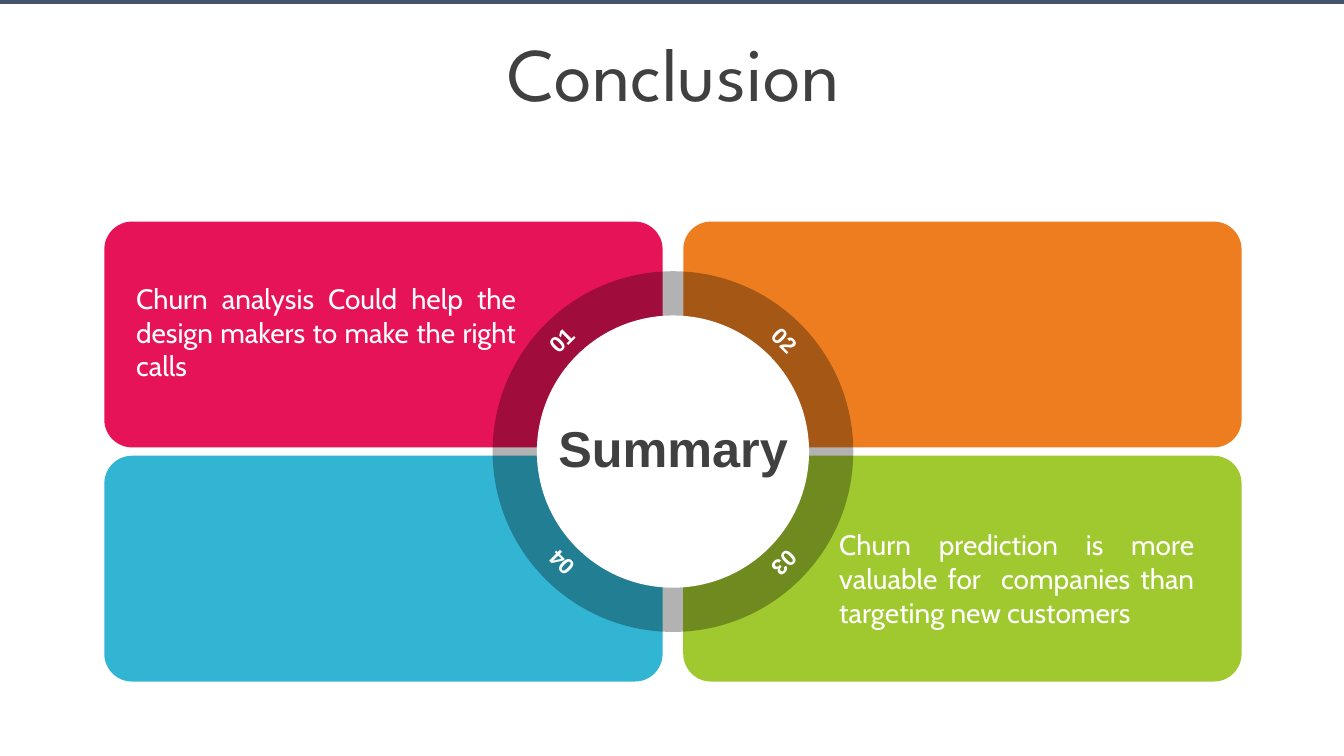
from lxml.etree import SubElement
from pptx import Presentation
from pptx.dml.color import RGBColor
from pptx.enum.shapes import MSO_SHAPE
from pptx.enum.text import MSO_ANCHOR, MSO_AUTO_SIZE, PP_ALIGN
from pptx.oxml.ns import qn
from pptx.util import Cm, Pt

THEME = {
    "dark": "404040", "white": "FFFFFF", "black": "000000", "bar": "44546A",
    "pink": "E61358", "orange": "ED7D1F", "green": "A0C82F", "blue": "32B5D3",
    "title": {"name": "League Spartan", "size": Pt(54), "bold": False},
    "hub": {"name": "Arial", "size": Pt(36), "bold": True},
    "number": {"name": "Arial", "size": Pt(16), "bold": True},
    "body": {"name": "Cabin", "size": Pt(20), "bold": False},
}

deck = Presentation()
deck.slide_width, deck.slide_height = Cm(33.87), Cm(19.05)
slide = deck.slides.add_slide(deck.slide_layouts[5])
shapes = slide.shapes


def draw(kind, box, color):
    """Add a plain filled shape; box is left, top, width, height in cm."""
    shape = shapes.add_shape(kind, *map(Cm, box))
    shape.shadow.inherit = False
    shape.fill.solid()
    shape.fill.fore_color.rgb = RGBColor.from_string(THEME[color])
    shape.line.fill.background()
    return shape


def write(text, box, style, color, align=PP_ALIGN.CENTER,
          anchor=MSO_ANCHOR.TOP, holder=None):
    """Put one paragraph in the holder, or in a new text box."""
    holder = holder or shapes.add_textbox(0, 0, 0, 0)
    holder.left, holder.top, holder.width, holder.height = map(Cm, box)
    frame = holder.text_frame
    frame.text = text
    frame.word_wrap = True
    frame.auto_size = MSO_AUTO_SIZE.NONE
    frame.vertical_anchor = anchor
    para = frame.paragraphs[0]
    para.alignment = align
    font = para.runs[0].font
    for key, value in THEME[style].items():
        setattr(font, key, value)
    font.color.rgb = RGBColor.from_string(THEME[color])
    return holder


# Title
title = write("Conclusion", (0.89, 0.94, 32.16, 2.01), "title", "dark",
              anchor=MSO_ANCHOR.MIDDLE, holder=shapes.title)
for key, value in {"line_spacing": 0.9, "space_before": Pt(10)}.items():
    setattr(title.text_frame.paragraphs[0], key, value)

# Four cards around one centre: number, colour, side across, side down, turn
mid_x, mid_y = 16.96, 11.38
card_w, card_h = 14.07, 5.69
gap_x, gap_y = 0.52, 0.21
cards = [
    ("01", "pink", -1, -1, 315),
    ("02", "orange", 1, -1, 45),
    ("03", "green", 1, 1, 135),
    ("04", "blue", -1, 1, 225),
]
for number, color, across, down, turn in cards:
    left = mid_x + across * (card_w + gap_x) / 2 - card_w / 2
    top = mid_y + down * (card_h + gap_y) / 2 - card_h / 2
    card = draw(MSO_SHAPE.ROUNDED_RECTANGLE, (left, top, card_w, card_h), color)
    card.adjustments[0] = 0.123

# Ring and hub
for size, color in ((9.09, "black"), (6.86, "white")):
    disc = draw(MSO_SHAPE.OVAL,
                (mid_x - size / 2, mid_y - size / 2, size, size), color)
    if color == "black":
        tint = disc.fill._xPr.find(".//" + qn("a:srgbClr"))
        SubElement(tint, qn("a:alpha"), val="30000")

# Numbers in the band of the ring, each at the top of a box turned
# about the centre
side = 8.9
for number, color, across, down, turn in cards:
    label = write(number, (mid_x - side / 2, mid_y - side / 2, side, side),
                  "number", "white")
    label.rotation = turn

write("Summary", (13.51, 10.39, 6.91, 1.8), "hub", "dark")

# Card texts
for text, box in (
    ("Churn analysis Could help the design makers to make the right calls",
     (3.18, 6.96, 10.08, 2.82)),
    ("Churn prediction is more valuable for  companies than targeting new "
     "customers", (20.9, 13.16, 9.45, 2.82)),
):
    write(text, box, "body", "white", PP_ALIGN.JUSTIFY, MSO_ANCHOR.MIDDLE)

# Bar along the top edge
draw(MSO_SHAPE.RECTANGLE, (0, 0, 33.87, 0.1), "bar")

deck.save("out.pptx")
